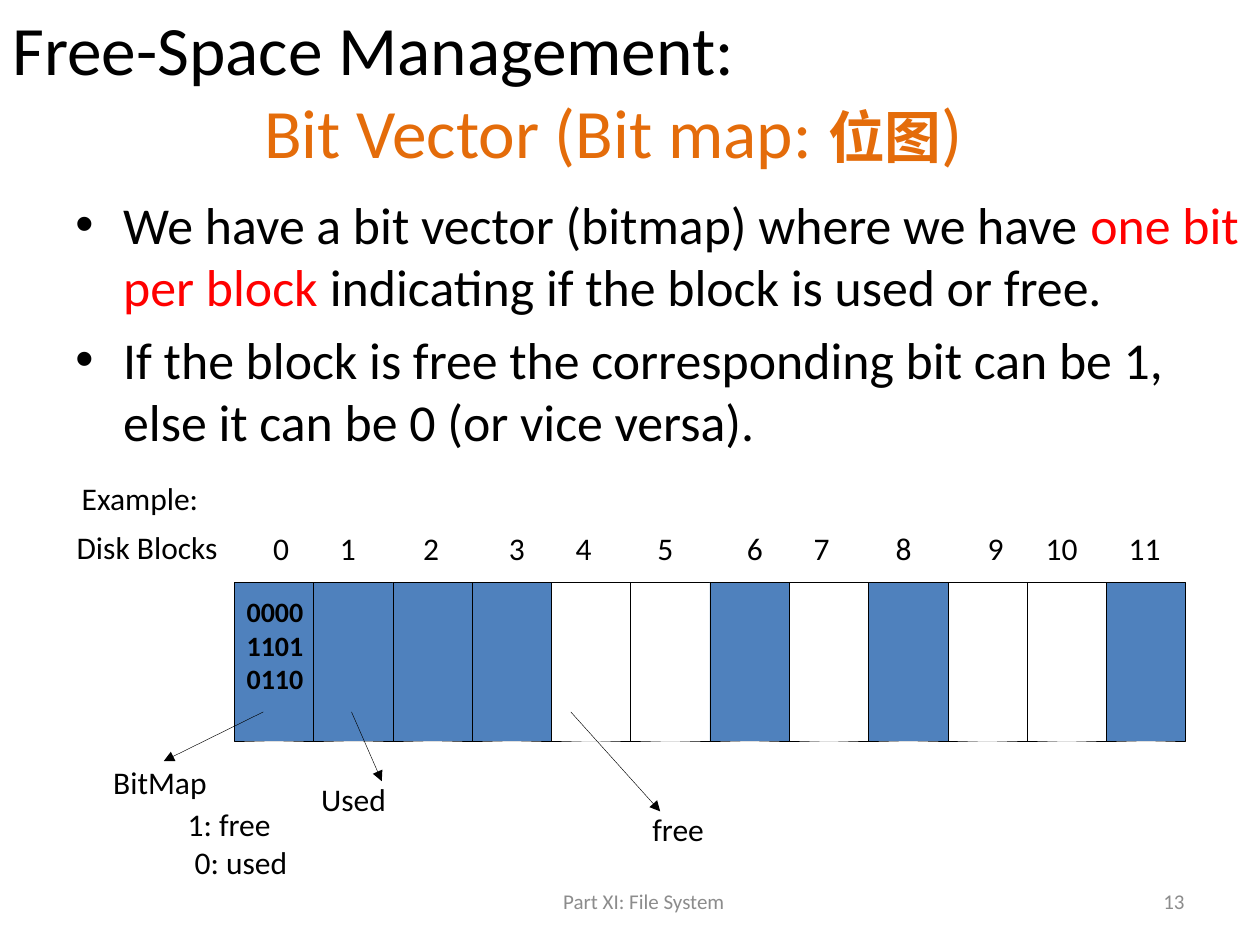
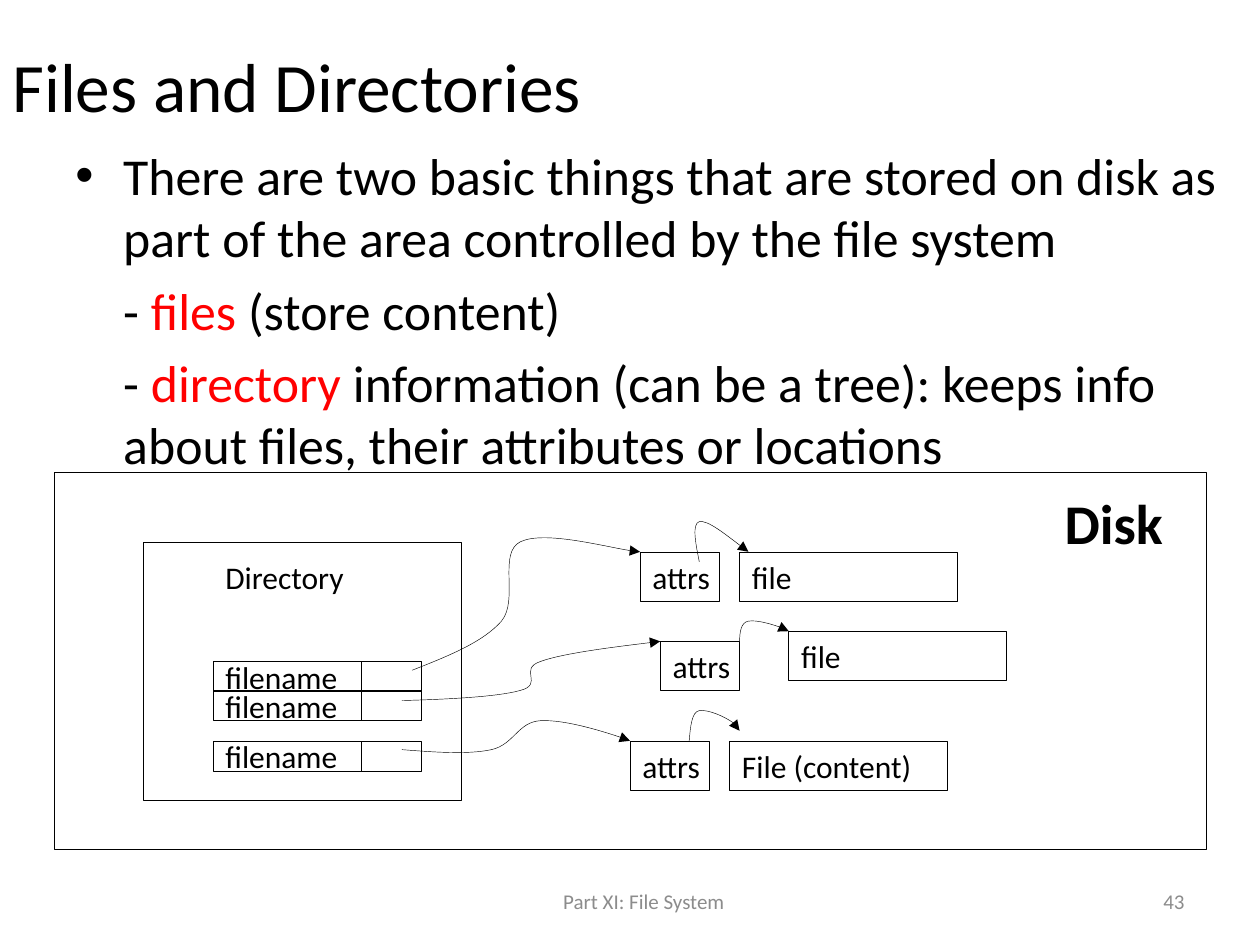
from lxml import etree
from pptx import Presentation, util as u
from pptx.dml.color import RGBColor
from pptx.enum import shapes, text
from pptx.oxml import ns

hue = RGBColor.from_string
BLACK, GREY, RED, ORANGE, BLUE = "000000", "8C8C8C", "FF0000", "E46C0A", "4F81BD"
FONT = "Calibri"
THIN = 0.25
LEFT, MID, RIGHT = text.PP_ALIGN.LEFT, text.PP_ALIGN.CENTER, text.PP_ALIGN.RIGHT
TOP, CENTRE = text.MSO_ANCHOR.TOP, text.MSO_ANCHOR.MIDDLE


def put(page, at, words="", size=18, ink=BLACK, accent=RED, fill=None, edge=False,
        bold=False, wrap=False, align=LEFT, anchor=TOP):
    area = [u.Inches(n) for n in at]
    if edge:
        shape = page.shapes.add_shape(shapes.MSO_SHAPE.RECTANGLE, *area)
        shape.shadow.inherit = False
        shape.line.color.rgb = hue(BLACK)
        shape.line.width = u.Pt(THIN)
        if fill:
            shape.fill.solid()
            shape.fill.fore_color.rgb = hue(fill)
        else:
            shape.fill.background()
    else:
        shape = page.shapes.add_textbox(*area)
    frame = shape.text_frame
    frame.word_wrap = wrap
    frame.vertical_anchor = anchor
    if not edge and not wrap:
        frame.auto_size = text.MSO_AUTO_SIZE.SHAPE_TO_FIT_TEXT
    for row, line in enumerate(words.split("\n")):
        para = frame.add_paragraph() if row else frame.paragraphs[0]
        para.alignment = align
        for spot, piece in enumerate(line.split("|")):
            if piece:
                run = para.add_run()
                run.text = piece
                run.font.name = FONT
                run.font.size = u.Pt(size)
                run.font.bold = bold
                run.font.color.rgb = hue(accent if spot % 2 else ink)
    return frame


def point(shape):
    shape.line.color.rgb = hue(BLACK)
    shape.line.width = u.Pt(THIN)
    props = shape._element.spPr
    etree.SubElement(props.find(ns.qn("a:ln")), ns.qn("a:tailEnd"), type="triangle")
    etree.SubElement(props, ns.qn("a:effectLst"))


deck = Presentation()
deck.slide_width, deck.slide_height = u.Inches(10), u.Inches(7.5)

plan = [
    ("13", (0, 0.13, 9, 1.15),
     "Free-Space Management:\n|Bit Vector (Bit map: ||位图||)",
     (0.5, 1.48, 9.5, 2.58),
     "We have a bit vector (bitmap) where we have |one bit per block |"
     "indicating if the block is used or free.\n"
     "If the block is free the corresponding bit can be 1, else it can be 0 (or vice versa)."),
    ("43", (0, 0.31, 9, 0.72), "Files and Directories",
     (0.5, 1.09, 9.5, 2.66),
     "There are two basic things that are stored on disk as part of the area "
     "controlled by the file system\n"
     "- |files| (store content)\n"
     "- |directory| information (can be a tree): keeps info about files, "
     "their attributes or locations"),
]
pages, heads = [], []
for number, head, title, area, body in plan:
    page = deck.slides.add_slide(deck.slide_layouts[6])
    pages.append(page)
    put(page, (3.42, 6.95, 3.38, 0.4), "Part XI: File System", 12, GREY,
        wrap=True, align=MID, anchor=CENTRE)
    put(page, (7.17, 6.95, 2.33, 0.4), number, 12, GREY,
        wrap=True, align=RIGHT, anchor=CENTRE)
    heads.append(put(page, head, title, 39.6, accent=ORANGE, wrap=True, anchor=CENTRE))
    for para in put(page, area, body, 29.6, wrap=True).paragraphs:
        para.space_before = u.Pt(6)
        props = para._p.get_or_add_pPr()
        props.set("marL", str(u.Inches(0.38)))
        if not para.text.startswith("-"):
            props.set("indent", str(u.Inches(-0.38)))
            etree.SubElement(props, ns.qn("a:buFont"), typeface="Arial")
            etree.SubElement(props, ns.qn("a:buChar"), char="•")

bits, files = pages
second = heads[0].paragraphs[1]
second._p.get_or_add_pPr().set("marL", str(u.Inches(2)))
second.runs[1].font.size = u.Pt(32.4)
second.runs[1].font.bold = True

vector = "000011010110"
pitch = (8.78 - 1.86) / 11
lefts = [2.07, 2.6, 3.26, 3.94, 4.47, 5.12, 5.83, 6.36, 7.01, 7.74, 8.2, 8.86]
for block in sorted(range(12), key=lambda n: -int(vector[n])):
    used = vector[block] == "0"
    words = "\n".join([vector[:4], vector[4:8], vector[8:]]) if block == 0 else ""
    cell = put(bits, (1.86 + pitch * block, 4.62, 0.63, 1.26), words, 16,
               fill=BLUE if used else None, edge=True, bold=True)
    cell.margin_top = u.Inches(0.1)
for block, left in enumerate(lefts):
    put(bits, (left, 4.15, 0.34 if block < 10 else 0.48, 0.4), str(block))

for x, y, wide, words in [
    (2.45, 6.14, 0.85, "Used"), (5.08, 6.38, 0.63, "free"), (0.8, 6.01, 0.98, "BitMap"),
    (0.51, 4.14, 1.49, "Disk Blocks"), (0.55, 3.75, 1.24, "Example:"),
]:
    put(bits, (x, y, wide, 0.4), words)
put(bits, (1.39, 6.34, 1.09, 0.7), "1: free\n 0: used")
for ends in [(2.79, 5.65, 3.03, 6.2), (4.53, 5.65, 5.24, 6.44), (2.09, 5.65, 1.3, 6.04)]:
    point(bits.shapes.add_connector(shapes.MSO_CONNECTOR.STRAIGHT, *[u.Inches(n) for n in ends]))

put(files, (0.43, 3.75, 9.14, 2.99), edge=True)
put(files, (8.35, 3.83, 0.99, 0.64), "Disk", 32, bold=True)
put(files, (1.14, 4.3, 2.52, 2.05), edge=True)
put(files, (1.69, 4.38, 1.2, 0.4), "Directory")
for x, y, wide, words in [
    (5.87, 4.38, 1.73, "file"), (6.26, 5.01, 1.73, "file"), (5.79, 5.88, 1.73, "File (content)"),
    (5.08, 4.38, 0.63, "attrs"), (5.24, 5.09, 0.63, "attrs"), (5, 5.88, 0.63, "attrs"),
]:
    put(files, (x, y, wide, 0.39), words, edge=True, anchor=CENTRE)
for y in (5.25, 5.48, 5.88):
    put(files, (1.69, y, 1.18, 0.24), "filename", edge=True, anchor=CENTRE)
    put(files, (2.87, y, 0.47, 0.24), edge=True)

curves = [
    [(3.27, 5.32), (3.55, 5.21), (3.83, 5.1), (3.98, 4.93), (4.12, 4.76),
     (3.95, 4.39), (4.13, 4.3), (4.32, 4.21), (4.92, 4.37), (5.08, 4.38)],
    [(5.55, 4.46), (5.52, 4.31), (5.49, 4.16), (5.55, 4.14),
     (5.62, 4.13), (5.78, 4.26), (5.94, 4.38)],
    [(5.87, 5.09), (5.87, 5.02), (5.88, 4.94), (5.94, 4.93),
     (6.01, 4.92), (6.23, 4.98), (6.26, 5.01)],
    [(5.47, 5.88), (5.48, 5.77), (5.49, 5.65), (5.55, 5.64),
     (5.62, 5.63), (5.87, 5.73), (5.87, 5.8)],
    [(3.19, 5.56), (3.57, 5.55), (3.95, 5.53), (4.13, 5.48), (4.32, 5.43),
     (4.11, 5.31), (4.29, 5.25), (4.48, 5.18), (5.09, 5.11), (5.24, 5.09)],
    [(3.19, 5.95), (3.45, 5.97), (3.71, 5.99), (3.9, 5.95), (4.08, 5.91),
     (4.11, 5.73), (4.29, 5.72), (4.48, 5.71), (4.91, 5.84), (5, 5.88)],
]
for knots in curves:
    spots = [(u.Inches(x), u.Inches(y)) for x, y in knots]
    pen = files.shapes.build_freeform(*spots[0])
    pen.add_line_segments(spots[1:], close=False)
    curve = pen.convert_to_shape()
    curve.fill.background()
    point(curve)
    trail = next(curve._element.iter(ns.qn("a:path")))
    legs = trail.findall(ns.qn("a:lnTo"))
    for first in range(0, len(legs), 3):
        bend = etree.SubElement(trail, ns.qn("a:cubicBezTo"))
        for leg in legs[first:first + 3]:
            bend.append(leg[0])
            trail.remove(leg)

deck.save("out.pptx")
